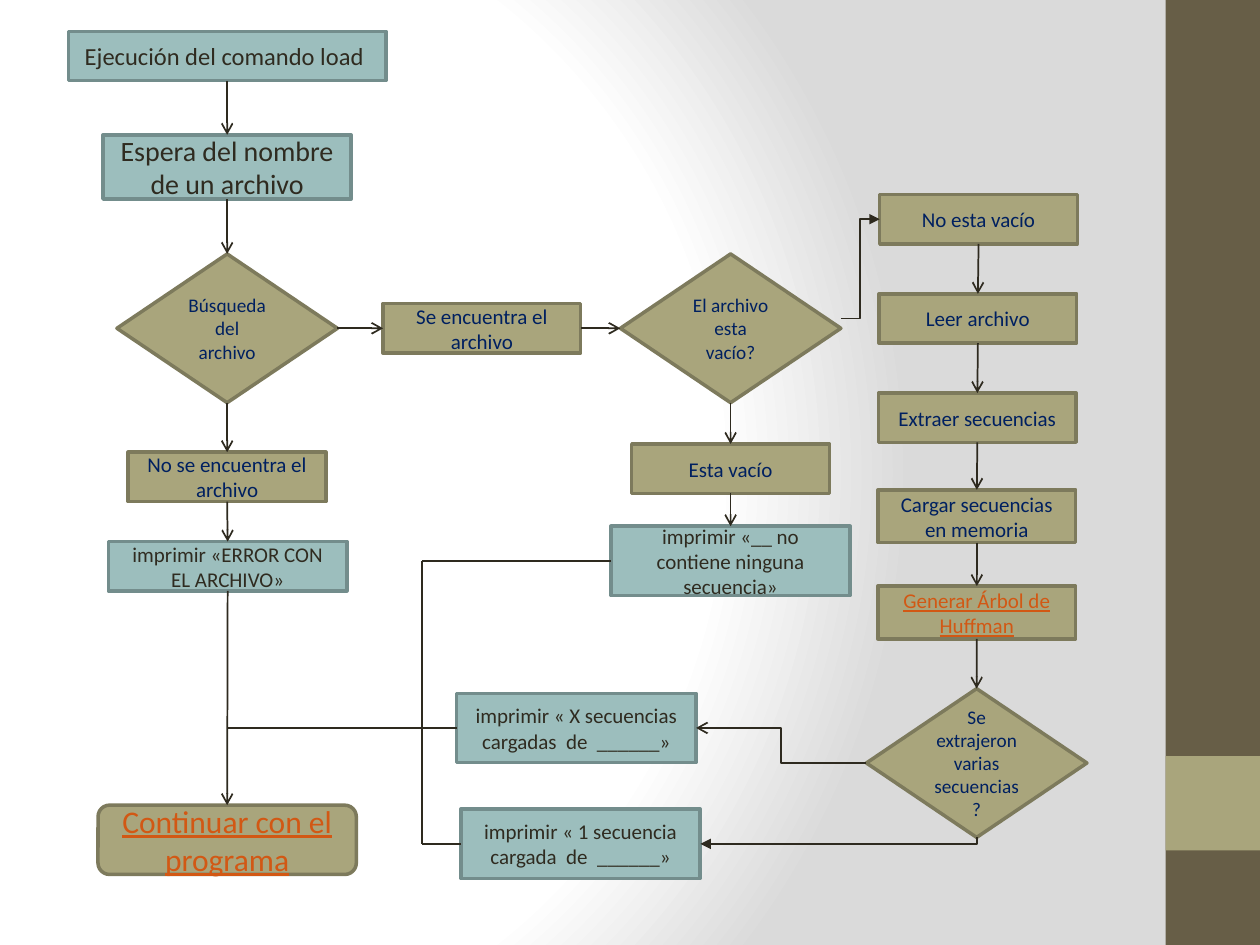
import dataclasses
import typing

import pptx
import pptx.dml.color
import pptx.enum.shapes
import pptx.enum.text
import pptx.oxml
import pptx.oxml.ns
import pptx.util

Pt = pptx.util.Pt
RGB = pptx.dml.color.RGBColor.from_string
qn = pptx.oxml.ns.qn
FORMS = pptx.enum.shapes.MSO_SHAPE
LINKS = pptx.enum.shapes.MSO_CONNECTOR
NS = pptx.oxml.ns.nsdecls("a")
TOP, LEFT, BOTTOM, RIGHT = range(4)


@dataclasses.dataclass(frozen=True)
class Theme:
    """Colours and type sizes of the slide."""
    font: str = "Calibri"
    paper: str = "FFFFFF"
    shade: str = "DADADA"
    band: str = "675E47"
    olive: str = "A9A57C"
    olive_edge: str = "7D7A5C"
    teal: str = "9CBEBD"
    teal_edge: str = "738D8C"
    ink: str = "2F2B20"
    navy: str = "002060"
    link: str = "D25814"
    wire: str = "2E2A1F"
    question: float = 11
    body: float = 12
    command: float = 14
    prompt: float = 16
    finish: float = 18


THEME = Theme()


@dataclasses.dataclass(frozen=True)
class Style:
    """Look of one kind of step."""
    fill: str
    edge: str
    ink: str
    size: float = THEME.body
    form: int = FORMS.RECTANGLE
    underline: bool = False


@dataclasses.dataclass(frozen=True)
class Step:
    """One box of the flowchart, placed by its centre."""
    text: str
    style: Style
    x: float
    y: float
    width: float = 113
    height: float = 28.2


@dataclasses.dataclass(frozen=True)
class Flow:
    """A connection between two steps."""
    start: str
    end: str
    leave: int = BOTTOM
    enter: int = TOP
    kind: int = LINKS.STRAIGHT


OLIVE = Style(THEME.olive, THEME.olive_edge, THEME.navy)
TEAL = Style(THEME.teal, THEME.teal_edge, THEME.ink)
QUESTION = dataclasses.replace(OLIVE, size=THEME.question, form=FORMS.DIAMOND)
JUMP = dataclasses.replace(OLIVE, ink=THEME.link, underline=True)
COMMAND = dataclasses.replace(TEAL, size=THEME.command)
PROMPT = dataclasses.replace(TEAL, size=THEME.prompt)
FINISH = dataclasses.replace(JUMP, size=THEME.finish,
                             form=FORMS.FLOWCHART_ALTERNATE_PROCESS)

SEARCH_X, EMPTY_X, LOAD_X = 129.8, 417.5, 558.5
STEPS = {
    "command": Step("Ejecución del comando load ", COMMAND, SEARCH_X, 32, 181.4),
    "prompt": Step("Espera del nombre de un archivo", PROMPT, SEARCH_X, 95.4, 141.8, 36.7),
    "search": Step("Búsqueda del archivo", QUESTION, SEARCH_X, 187.6, 126, 85),
    "finish": Step("Continuar con el programa", FINISH, SEARCH_X, 479.9, 147.6, 39.6),
    "found": Step("Se encuentra el archivo", OLIVE, 275.4, 187.6),
    "missing": Step("No se encuentra el archivo", OLIVE, SEARCH_X, 272.5),
    "error": Step("imprimir «ERROR CON EL ARCHIVO»", TEAL, SEARCH_X + 0.3, 323.6, 136.4),
    "is_empty": Step("El archivo esta vacío?", QUESTION, EMPTY_X, 187.6, 126, 85),
    "say_none": Step("imprimir «__ no contiene ninguna secuencia»", TEAL,
                     EMPTY_X, 320.5, 136.8, 39.6),
    "empty": Step("Esta vacío", OLIVE, EMPTY_X, 267.8),
    "say_many": Step("imprimir « X secuencias cargadas  de  ______»", TEAL,
                     329.4, 416, 136.8, 39.6),
    "say_one": Step("imprimir « 1 secuencia cargada  de  ______»", TEAL,
                    331.8, 482.2, 136.8, 39.6),
    "not_empty": Step("No esta vacío", OLIVE, LOAD_X + 0.7, 125.3),
    "read": Step("Leer archivo", OLIVE, LOAD_X + 0.3, 182),
    "extract": Step("Extraer secuencias", OLIVE, LOAD_X, 238.7),
    "several": Step("Se extrajeron varias secuencias?", QUESTION,
                    LOAD_X - 0.4, 436, 126, 85),
    "store": Step("Cargar secuencias en memoria", OLIVE, LOAD_X - 0.3, 295, 113, 30.2),
    "tree": Step("Generar Árbol de Huffman", JUMP, LOAD_X - 0.3, 350, 113, 30.2),
}
CHAINS = [
    ("command", "prompt", "search", "missing", "error", "finish"),
    ("is_empty", "empty", "say_none"),
    ("not_empty", "read", "extract", "store", "tree", "several"),
]
FLOWS = [Flow(a, b) for chain in CHAINS for a, b in zip(chain, chain[1:])] + [
    Flow("search", "found", RIGHT, LEFT),
    Flow("found", "is_empty", RIGHT, LEFT),
    Flow("several", "say_many", LEFT, RIGHT, LINKS.ELBOW),
]
RETURN_X = 241.2
RETURNS = [
    (261, 416, SEARCH_X, 416),
    (349.1, 320.5, RETURN_X, 320.5),
    (RETURN_X, 320.5, RETURN_X, 482.2),
    (263.4, 482.2, RETURN_X, 482.2),
]


def apply(target: typing.Any, values: dict) -> None:
    """Set every attribute in values on the target."""
    for name, value in values.items():
        setattr(target, name, value)


def paint_background(slide: typing.Any) -> None:
    """Give the slide its radial gradient."""
    slide.background.fill.gradient()
    plain = next(slide.element.iter(qn("a:gradFill")))
    stops = "".join(
        f'<a:gs pos="{at}"><a:srgbClr val="{colour}"/></a:gs>'
        for at, colour in ((0, THEME.paper), (75000, THEME.paper), (100000, THEME.shade)))
    radial = pptx.oxml.parse_xml(
        f'<a:gradFill {NS} rotWithShape="1"><a:gsLst>{stops}</a:gsLst><a:path path="circle">'
        '<a:fillToRect l="20000" t="50000" r="100000" b="50000"/></a:path></a:gradFill>')
    plain.getparent().replace(plain, radial)


def draw_band(slide: typing.Any, top: float, height: float, colour: str) -> None:
    """Draw one block of the right-hand band."""
    band = slide.shapes.add_shape(FORMS.RECTANGLE, Pt(666), Pt(top), Pt(54), Pt(height))
    band.shadow.inherit = False
    band.fill.solid()
    band.fill.fore_color.rgb = RGB(colour)
    band.line.fill.background()


def draw_step(slide: typing.Any, step: Step) -> typing.Any:
    """Draw one step with its text and return it."""
    style = step.style
    box = slide.shapes.add_shape(
        style.form, Pt(step.x - step.width / 2), Pt(step.y - step.height / 2),
        Pt(step.width), Pt(step.height))
    box.shadow.inherit = False
    box.fill.solid()
    box.fill.fore_color.rgb = RGB(style.fill)
    box.line.color.rgb = RGB(style.edge)
    box.line.width = Pt(2)
    apply(box.text_frame, {"word_wrap": True,
                           "vertical_anchor": pptx.enum.text.MSO_ANCHOR.MIDDLE})
    paragraph = box.text_frame.paragraphs[0]
    paragraph.alignment = pptx.enum.text.PP_ALIGN.CENTER
    run = paragraph.add_run()
    run.text = step.text
    apply(run.font, {"name": THEME.font, "size": Pt(style.size),
                     "underline": style.underline})
    run.font.color.rgb = RGB(style.ink)
    return box


def draw_wire(slide: typing.Any, ends: tuple, kind: int = LINKS.STRAIGHT,
              head: str = "") -> typing.Any:
    """Draw a connector, with an arrowhead at its end if one is named."""
    wire = slide.shapes.add_connector(kind, *(Pt(end) for end in ends))
    wire.line.color.rgb = RGB(THEME.wire)
    wire.line.width = Pt(1)
    if head:
        wire.line._get_or_add_ln().append(
            pptx.oxml.parse_xml(f'<a:tailEnd {NS} type="{head}"/>'))
    wire.element.spPr.append(pptx.oxml.parse_xml(f"<a:effectLst {NS}/>"))
    return wire


def draw_corner(slide: typing.Any, x1: float, y1: float, x2: float, y2: float) -> None:
    """Draw an arrow that goes down and then left."""
    x, y, across, down = (x1 + x2) / 2, (y1 + y2) / 2, (x1 - x2) / 2, (y2 - y1) / 2
    corner = draw_wire(slide, (x - down, y - across, x + down, y + across),
                       LINKS.ELBOW, "triangle")
    corner.element.spPr.find(qn("a:prstGeom")).set("prst", "bentConnector2")
    corner.element.spPr.find(qn("a:xfrm")).set("rot", "5400000")


def main() -> None:
    """Build and save the slide."""
    deck = pptx.Presentation()
    apply(deck, {"slide_width": Pt(720), "slide_height": Pt(540)})
    slide = deck.slides.add_slide(deck.slide_layouts[6])
    paint_background(slide)
    draw_band(slide, 0, 540, THEME.band)
    draw_band(slide, 432, 54, THEME.olive)
    boxes = {key: draw_step(slide, step) for key, step in STEPS.items()}
    for flow in FLOWS:
        wire = draw_wire(slide, (0, 0, 0, 0), flow.kind, "arrow")
        wire.begin_connect(boxes[flow.start], flow.leave)
        wire.end_connect(boxes[flow.end], flow.enter)
    for ends in RETURNS:
        draw_wire(slide, ends)
    draw_wire(slide, (480.5, 182, 502.7, 125.3), LINKS.ELBOW, "triangle")
    draw_corner(slide, 558.1, 478.5, 400.2, 482.2)
    deck.save("out.pptx")


main()
